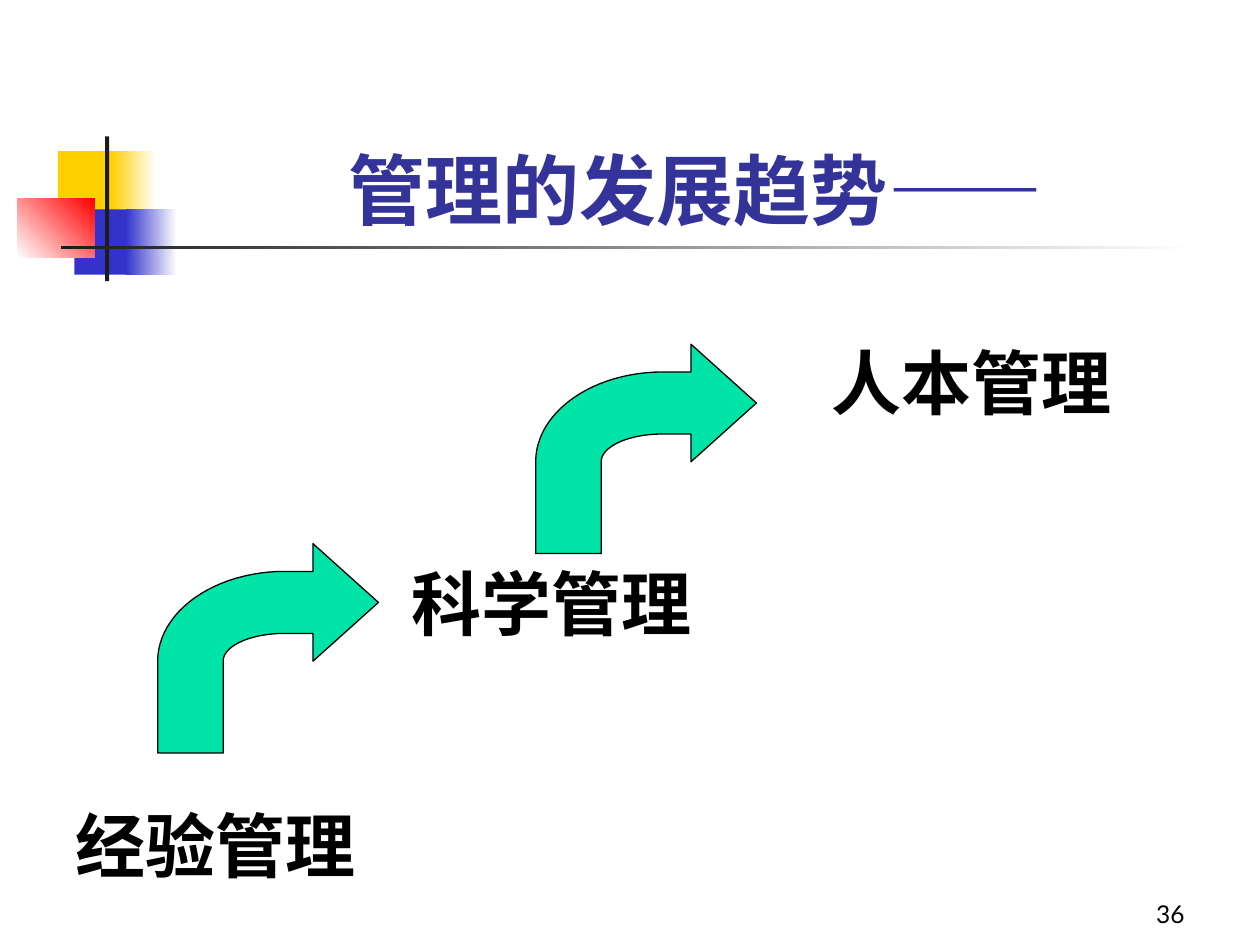
import math
from dataclasses import dataclass
from typing import Optional

from pptx import Presentation
from pptx import util as u
from pptx.dml.color import RGBColor
from pptx.enum import shapes, text

COLORS = {
    "yellow": "FFCF01",
    "blue": "3333CC",
    "red": "FF0000",
    "dark": "1C1C1C",
    "white": "FFFFFF",
    "title": "333399",
    "black": "000000",
    "arrow": "00E4A8",
}


@dataclass
class Block:
    left: float
    top: float
    width: float
    height: float
    color: str
    end_color: Optional[str] = None
    angle: float = 0


@dataclass
class Label:
    left: float
    top: float
    width: float
    height: float
    content: str
    size: int = 40
    font: str = "Times New Roman"
    bold: bool = True
    align: text.PP_ALIGN = text.PP_ALIGN.LEFT
    anchor: text.MSO_ANCHOR = text.MSO_ANCHOR.TOP


@dataclass
class BentArrow:
    left: float
    top: float


BLOCKS = [
    Block(1.17, 3.05, 1.22, 1.32, "yellow"),
    Block(2.24, 3.05, 0.91, 1.32, "yellow", "white"),
    Block(1.5, 4.22, 1.17, 1.32, "blue"),
    Block(2.54, 4.22, 1.02, 1.32, "blue", "white"),
    Block(0.35, 4.01, 1.56, 1.18, "white", "red", 45),
    Block(2.12, 2.75, 0.08, 2.92, "dark"),
    Block(1.23, 4.95, 22.86, 0.08, "dark", "white"),
]
LABELS = [
    Label(1.27, 16.05, 6.99, 1.96, "经验管理"),
    Label(8.05, 11.18, 6.99, 1.96, "科学管理"),
    Label(16.51, 6.73, 7.19, 1.96, "人本管理"),
    Label(18.85, 17.58, 5.28, 1.27, "36", 14, "Lato", False,
          text.PP_ALIGN.RIGHT, text.MSO_ANCHOR.BOTTOM),
]
ARROWS = [BentArrow(3.18, 10.96), BentArrow(10.8, 6.94)]


def color(name: str) -> RGBColor:
    return RGBColor.from_string(COLORS[name])


def draw_block(slide, block: Block) -> None:
    shape = slide.shapes.add_shape(
        shapes.MSO_SHAPE.RECTANGLE, u.Cm(block.left), u.Cm(block.top),
        u.Cm(block.width), u.Cm(block.height))
    shape.shadow.inherit = False
    shape.line.fill.background()
    if block.end_color is None:
        shape.fill.solid()
        shape.fill.fore_color.rgb = color(block.color)
        return
    shape.fill.gradient()
    shape.fill.gradient_angle = block.angle
    for stop, name in zip(shape.fill.gradient_stops, (block.color, block.end_color)):
        stop.color.rgb = color(name)


def draw_label(slide, label: Label) -> None:
    box = slide.shapes.add_textbox(
        u.Cm(label.left), u.Cm(label.top), u.Cm(label.width), u.Cm(label.height))
    frame = box.text_frame
    frame.word_wrap = True
    frame.vertical_anchor = label.anchor
    paragraph = frame.paragraphs[0]
    paragraph.text = label.content
    paragraph.alignment = label.align
    paragraph.font.name = label.font
    paragraph.font.size = u.Pt(label.size)
    paragraph.font.bold = label.bold
    paragraph.font.color.rgb = color("black")


def quarter_arc(center_x: float, center_y: float, radius_x: float,
                radius_y: float, steps: int = 24) -> list[tuple[float, float]]:
    angles = [math.pi / 2 * step / steps for step in range(steps + 1)]
    return [(center_x - radius_x * math.sin(angle),
             center_y - radius_y * math.cos(angle)) for angle in angles]


def draw_arrow(slide, arrow: BentArrow) -> None:
    width, height, shaft = 4.45, 4.22, 1.32
    head_left, head_height = width - shaft, 2.37
    bend_x, bend_y = 2.56, 2.37
    shaft_top, shaft_bottom = 0.56, 1.81
    outer = quarter_arc(bend_x, bend_y, bend_x, bend_y - shaft_top)
    inner = quarter_arc(bend_x, bend_y, bend_x - shaft, bend_y - shaft_bottom)
    points = [
        (width, head_height / 2), (head_left, 0), (head_left, shaft_top),
        *outer, (0, height), (shaft, height), *reversed(inner),
        (head_left, shaft_bottom), (head_left, head_height),
    ]
    outline = [(u.Cm(arrow.left + x), u.Cm(arrow.top + y)) for x, y in points]
    builder = slide.shapes.build_freeform(*outline[0])
    builder.add_line_segments(outline[1:], close=True)
    shape = builder.convert_to_shape()
    shape.shadow.inherit = False
    shape.fill.solid()
    shape.fill.fore_color.rgb = color("arrow")
    shape.line.color.rgb = color("black")
    shape.line.width = u.Pt(0.75)


def set_title(slide) -> None:
    title = slide.shapes.title
    title.left, title.top = u.Cm(3.2), u.Cm(2.97)
    title.width, title.height = u.Cm(21.64), u.Cm(1.9)
    frame = title.text_frame
    frame.auto_size = text.MSO_AUTO_SIZE.NONE
    frame.vertical_anchor = text.MSO_ANCHOR.BOTTOM
    paragraph = frame.paragraphs[0]
    paragraph.alignment = text.PP_ALIGN.CENTER
    for content, font in (("管理的发展趋势", "Lato"), ("——", "Times New Roman")):
        run = paragraph.add_run()
        run.text = content
        run.font.name = font
    paragraph.font.size = u.Pt(44)
    paragraph.font.bold = True
    paragraph.font.color.rgb = color("title")


def main() -> None:
    presentation = Presentation()
    presentation.slide_width = u.Cm(25.4)
    presentation.slide_height = u.Cm(19.05)
    slide = presentation.slides.add_slide(presentation.slide_layouts[5])
    set_title(slide)
    for block in BLOCKS:
        draw_block(slide, block)
    for label in LABELS:
        draw_label(slide, label)
    for arrow in ARROWS:
        draw_arrow(slide, arrow)
    presentation.save("out.pptx")


if __name__ == "__main__":
    main()
